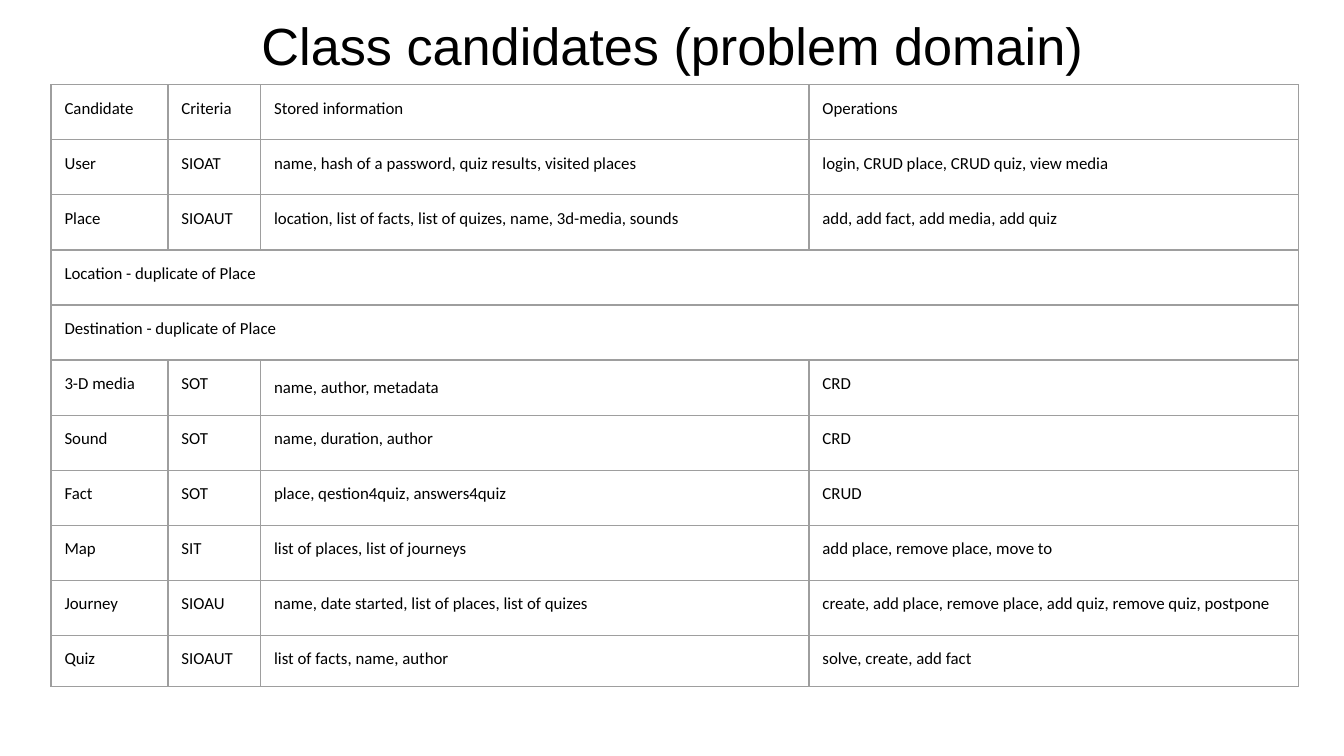
from dataclasses import dataclass

from lxml.etree import SubElement
from pptx import Presentation
from pptx.dml.color import RGBColor
from pptx.enum.text import MSO_ANCHOR as Anchor, PP_ALIGN as Align
from pptx.oxml.ns import qn
from pptx.util import Inches, Pt


@dataclass(frozen=True)
class Theme:
    text: RGBColor = RGBColor(0, 0, 0)
    border: str = "9E9E9E"
    border_width: int = Pt(0.75)
    title_font: str = "Arial"
    title_size: int = Pt(28)
    body_font: str = "Calibri"
    body_size: int = Pt(9)
    padding: int = Inches(0.1)


@dataclass(frozen=True)
class Candidate:
    name: str
    criteria: str = ""
    stored: str = ""
    operations: str = ""
    centred_stored: bool = False

    @property
    def texts(self) -> tuple[str, ...]:
        """A candidate without criteria is a note across the whole row."""
        if not self.criteria:
            return (self.name,)
        return self.name, self.criteria, self.stored, self.operations


THEME = Theme()
PAGE_WIDTH = 10
PAGE_HEIGHT = PAGE_WIDTH * 9 / 16
TITLE_HEIGHT = 0.63
COLUMN_WIDTHS = (0.87, 0.69, 4.08, 3.64)
ROW_HEIGHT, LAST_ROW_HEIGHT = 0.41, 0.38
STORED_COLUMN = 2
ROWS = (
    Candidate("Candidate", "Criteria", "Stored information", "Operations"),
    Candidate("User", "SIOAT", "name, hash of a password, quiz results, visited places",
              "login, CRUD place, CRUD quiz, view media"),
    Candidate("Place", "SIOAUT",
              "location, list of facts, list of quizes, name, 3d-media, sounds",
              "add, add fact, add media, add quiz"),
    Candidate("Location - duplicate of Place"),
    Candidate("Destination - duplicate of Place"),
    Candidate("3-D media", "SOT", "name, author, metadata", "CRD", centred_stored=True),
    Candidate("Sound", "SOT", "name, duration, author", "CRD"),
    Candidate("Fact", "SOT", "place, qestion4quiz, answers4quiz", "CRUD"),
    Candidate("Map", "SIT", "list of places, list of journeys",
              "add place, remove place, move to"),
    Candidate("Journey", "SIOAU", "name, date started, list of places, list of quizes",
              "create, add place, remove place, add quiz, remove quiz, postpone"),
    Candidate("Quiz", "SIOAUT", "list of facts, name, author", "solve, create, add fact"),
)


def style_text(para, font: str, size: int) -> None:
    for span in para.runs:
        span.font.name = font
        span.font.size = size
        span.font.bold = False
        span.font.color.rgb = THEME.text


def set_margins(area, margin: int) -> None:
    area.margin_left = area.margin_right = margin
    area.margin_top = area.margin_bottom = margin


def style_cell(cell) -> None:
    """Give a cell its padding, borders and empty fill."""
    set_margins(cell, THEME.padding)
    cell.vertical_anchor = Anchor.TOP
    properties = cell._tc.get_or_add_tcPr()
    for side in ("a:lnL", "a:lnR", "a:lnT", "a:lnB"):
        line = SubElement(properties, qn(side), w=str(THEME.border_width))
        fill = SubElement(line, qn("a:solidFill"))
        SubElement(fill, qn("a:srgbClr"), val=THEME.border)
    cell.fill.background()


def add_title(page, text: str) -> None:
    title = page.shapes.title
    title.left, title.top = Inches(0), Inches(0)
    title.width, title.height = Inches(PAGE_WIDTH), Inches(TITLE_HEIGHT)
    frame = title.text_frame
    set_margins(frame, THEME.padding)
    frame.vertical_anchor = Anchor.TOP
    frame.text = text
    para = frame.paragraphs[0]
    para.alignment = Align.CENTER
    para.line_spacing = 1.0
    style_text(para, THEME.title_font, THEME.title_size)


def add_candidates(page) -> None:
    heights = [ROW_HEIGHT] * (len(ROWS) - 1) + [LAST_ROW_HEIGHT]
    table = page.shapes.add_table(
        len(ROWS), len(COLUMN_WIDTHS), Inches(0.38), Inches(TITLE_HEIGHT),
        Inches(sum(COLUMN_WIDTHS)), Inches(sum(heights))).table
    table.first_row = table.horz_banding = False
    for column, width in zip(table.columns, COLUMN_WIDTHS):
        column.width = Inches(width)
    for row, height in zip(table.rows, heights):
        row.height = Inches(height)
    for cell in table.iter_cells():
        style_cell(cell)

    for index, candidate in enumerate(ROWS):
        if len(candidate.texts) == 1:
            table.cell(index, 0).merge(table.cell(index, len(COLUMN_WIDTHS) - 1))
        for column, text in enumerate(candidate.texts):
            cell = table.cell(index, column)
            cell.text_frame.text = text
            style_text(cell.text_frame.paragraphs[0], THEME.body_font, THEME.body_size)
        if candidate.centred_stored:
            cell = table.cell(index, STORED_COLUMN)
            cell.vertical_anchor = Anchor.MIDDLE
            set_margins(cell, Inches(0))
            indent = cell.text_frame.paragraphs[0]._p.get_or_add_pPr()
            indent.set("marL", str(THEME.padding))
            indent.set("indent", "0")


# Deck and page
deck = Presentation()
deck.slide_width, deck.slide_height = Inches(PAGE_WIDTH), Inches(PAGE_HEIGHT)
page = deck.slides.add_slide(deck.slide_layouts[5])

# Title and table
add_title(page, "Class candidates (problem domain)")
add_candidates(page)

deck.save("out.pptx")
